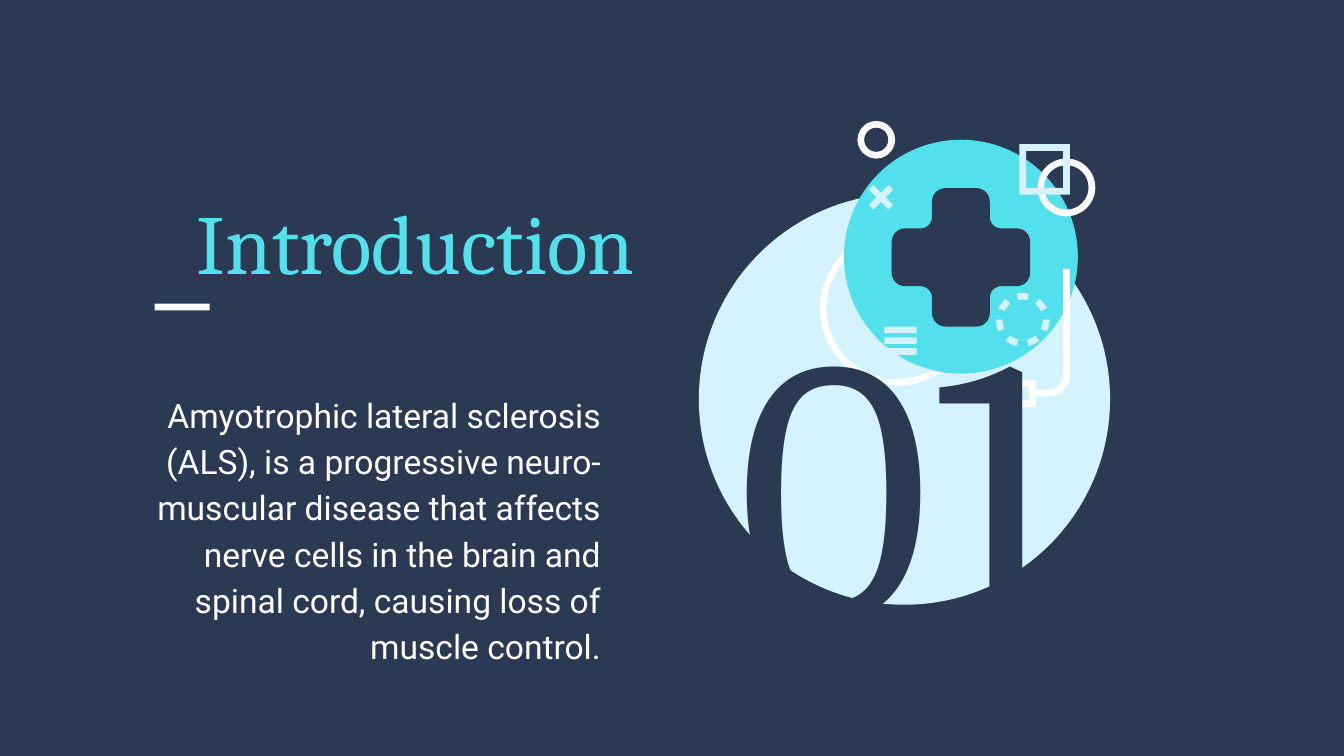
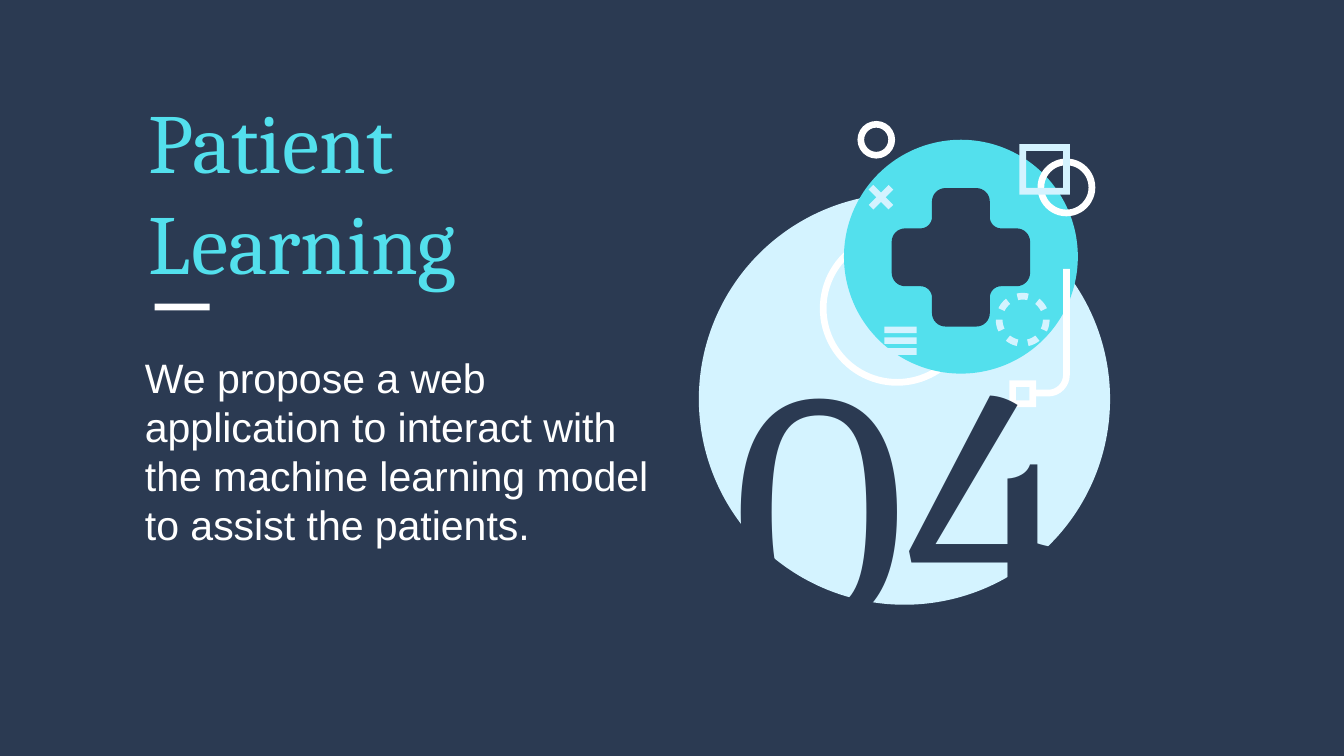
from math import cos, radians, sin

from pptx import Presentation
from pptx.dml.color import RGBColor
from pptx.enum.shapes import MSO_SHAPE
from pptx.enum.text import MSO_ANCHOR, PP_ALIGN
from pptx.util import Inches, Pt

OVAL, DONUT = MSO_SHAPE.OVAL, MSO_SHAPE.DONUT
FRAME, RECTANGLE = MSO_SHAPE.FRAME, MSO_SHAPE.RECTANGLE
TOP, BOTTOM = MSO_ANCHOR.TOP, MSO_ANCHOR.BOTTOM
LEFT, CENTER, RIGHT = PP_ALIGN.LEFT, PP_ALIGN.CENTER, PP_ALIGN.RIGHT

WIDTH = Inches(10)
HEIGHT = WIDTH * 9 // 16
CELL = WIDTH // 100
STROKE = 0.5
COLORS = {"navy": "2B3A52", "pale": "D4F3FF", "cyan": "53E0ED", "white": "FFFFFF"}
SERIF = "Cambria"


def color(name):
    return RGBColor.from_string(COLORS[name])


def arc(x, y, radius, start, end, steps=8):
    angles = [radians(start + (end - start) * i / steps) for i in range(steps + 1)]
    return [(x + radius * cos(a), y + radius * sin(a)) for a in angles]


def cross_outline(x, y):
    arm = (arc(4.15, -1.15, 1, -90, 0) + arc(4.15, 1.15, 1, 0, 90)
           + arc(3, 3, 0.85, 270, 180))
    outline = []
    for _ in range(4):
        outline += [(x + dx, y + dy) for dx, dy in arm]
        arm = [(-dy, dx) for dx, dy in arm]
    return outline


def dashed_ring(x, y, radius, dashes, sweep):
    outlines = []
    for i in range(dashes):
        middle = i * 360 / dashes - 90
        start, end = middle - sweep / 2, middle + sweep / 2
        outlines.append(arc(x, y, radius, start, end)
                        + arc(x, y, radius - STROKE, end, start))
    return outlines


class SectionDeck:
    def __init__(self):
        self.deck = Presentation()
        self.deck.slide_width, self.deck.slide_height = WIDTH, HEIGHT
        self.page = None
        self.shapes = None

    def add_page(self):
        self.page = self.deck.slides.add_slide(self.deck.slide_layouts[6])
        self.shapes = self.page.shapes
        fill = self.page.background.fill
        fill.solid()
        fill.fore_color.rgb = color("navy")

    def paint(self, shape, fill):
        shape.shadow.inherit = False
        shape.fill.solid()
        shape.fill.fore_color.rgb = color(fill)
        shape.line.fill.background()

    def shape(self, kind, x, y, width, height, fill, rotation=0):
        box = self.shapes.add_shape(kind, *(round(v * CELL) for v in (x, y, width, height)))
        box.rotation = rotation
        self.paint(box, fill)
        return box

    def hollow(self, kind, x, y, size, fill):
        self.shape(kind, x, y, size, size, fill).adjustments[0] = STROKE / size

    def outline(self, contours, fill):
        scaled = [[(x * CELL, y * CELL) for x, y in points] for points in contours]
        builder = self.shapes.build_freeform(*scaled[0][0])
        for i, points in enumerate(scaled):
            if i:
                builder.move_to(*points[0])
            builder.add_line_segments(points[1:], close=True)
        self.paint(builder.convert_to_shape(), fill)

    def text(self, words, x, y, width, height, size, fill, font=SERIF, align=LEFT,
             anchor=BOTTOM, margin=1, spacing=None, after=None):
        box = self.shapes.add_textbox(*(round(v * CELL) for v in (x, y, width, height)))
        frame = box.text_frame
        frame.word_wrap = True
        frame.vertical_anchor = anchor
        frame.margin_left = frame.margin_right = CELL
        frame.margin_top = frame.margin_bottom = round(margin * CELL)
        para = frame.paragraphs[0]
        para.text = words
        para.alignment = align
        para.line_spacing = spacing
        para.space_after = after
        para.font.name, para.font.size = font, Pt(size)
        para.font.color.rgb = color(fill)

    def medical_emblem(self):
        self.shapes = self.page.shapes.add_group_shape().shapes
        self.shape(OVAL, 52, 14.4, 30.6, 30.6, "pale")
        self.hollow(DONUT, 61, 17.2, 11.5, "white")
        self.shape(OVAL, 62.8, 10.4, 17.4, 17.4, "cyan")
        self.outline([cross_outline(71.5, 19.15)], "navy")
        self.outline(dashed_ring(76.1, 23.8, 2, 7, 26), "pale")
        self.hollow(DONUT, 63.8, 9, 2.8, "white")
        self.hollow(DONUT, 77.2, 11.8, 4.3, "white")
        self.hollow(FRAME, 75.1, 28.3, 2, "white")
        for i in range(3):
            self.shape(RECTANGLE, 65.8, 24.3 + 0.8 * i, 2.4, STROKE, "pale")
        for rotation in (45, 135):
            self.shape(RECTANGLE, 64.5, 14.43, 2.1, STROKE, "pale", rotation)
        self.hollow(FRAME, 75.85, 10.73, 3.75, "pale")
        tube = ([(79.6, 20)] + arc(78, 27.9, 1.6, 0, 90) + [(76.8, 29.5), (76.8, 29)]
                + arc(78, 27.9, 1.1, 90, 0) + [(79.1, 20)])
        self.outline([tube], "white")
        self.shapes = self.page.shapes

    def section(self, number, number_size, title, align):
        self.add_page()
        self.medical_emblem()
        self.text(number, 45.5, 25.4, 43.2, 27.1, number_size, "navy", align=CENTER)
        self.text(title + "\v", 10.1, 16.3, 38.1, 13.9, 45, "cyan", align=align)
        self.shape(RECTANGLE, 11.5, 22.6, 4.1, STROKE, "white")


def main():
    show = SectionDeck()
    show.section("01", 200, "Introduction", RIGHT)
    show.text("Amyotrophic lateral sclerosis (ALS), is a progressive neuro-muscular "
              "disease that affects nerve cells in the brain and spinal cord, "
              "causing loss of muscle control.",
              8.6, 27.9, 37.1, 22.1, 18, "white", "Roboto", RIGHT, TOP,
              spacing=1.15, after=Pt(16))
    show.section("04", 180, "Patient Learning", LEFT)
    show.text("We propose a web application to interact with the machine learning "
              "model to assist the patients.",
              9.8, 25.7, 40.5, 15.8, 22, "white", "Arial", anchor=TOP, margin=0.5)
    show.deck.save("out.pptx")


if __name__ == "__main__":
    main()
